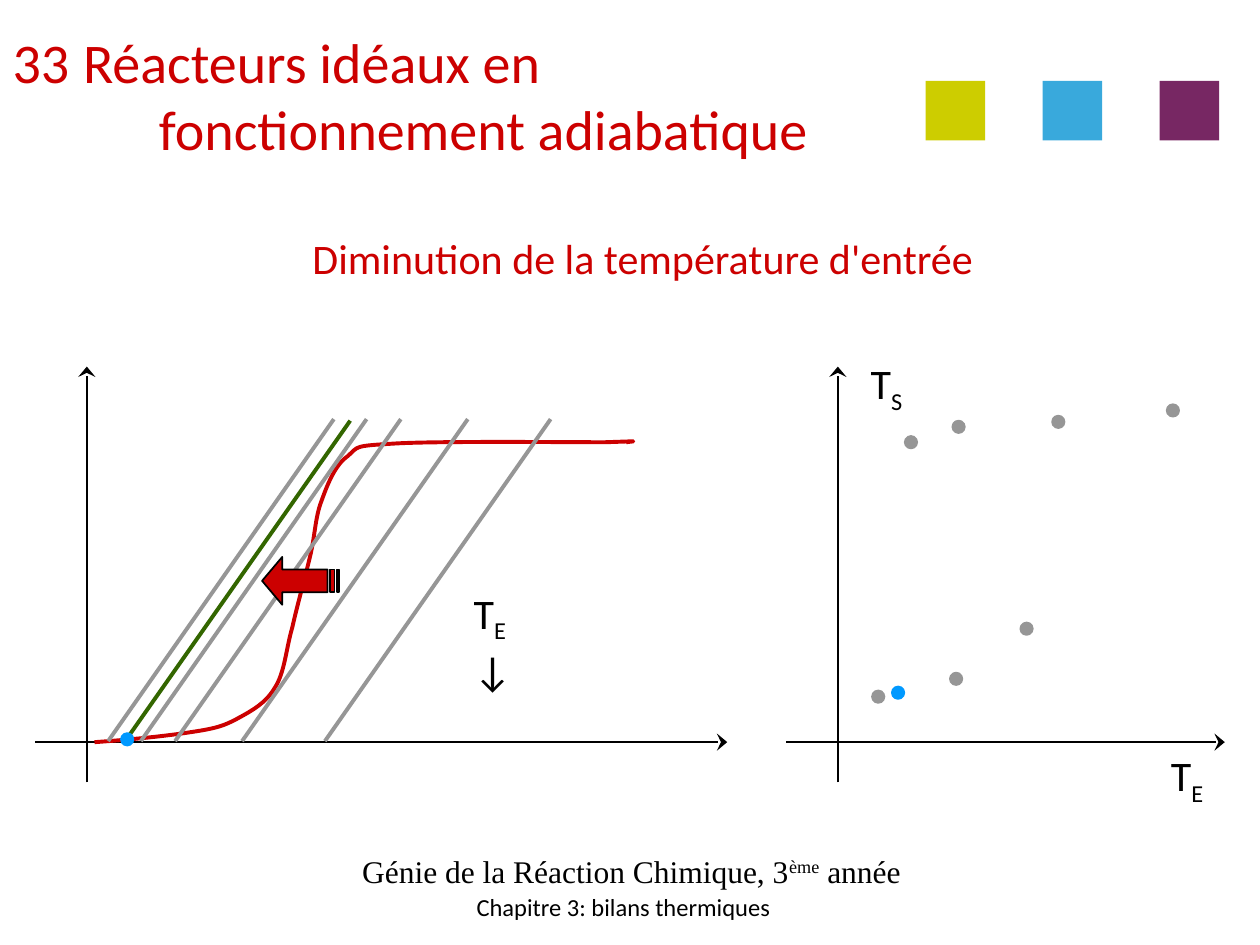
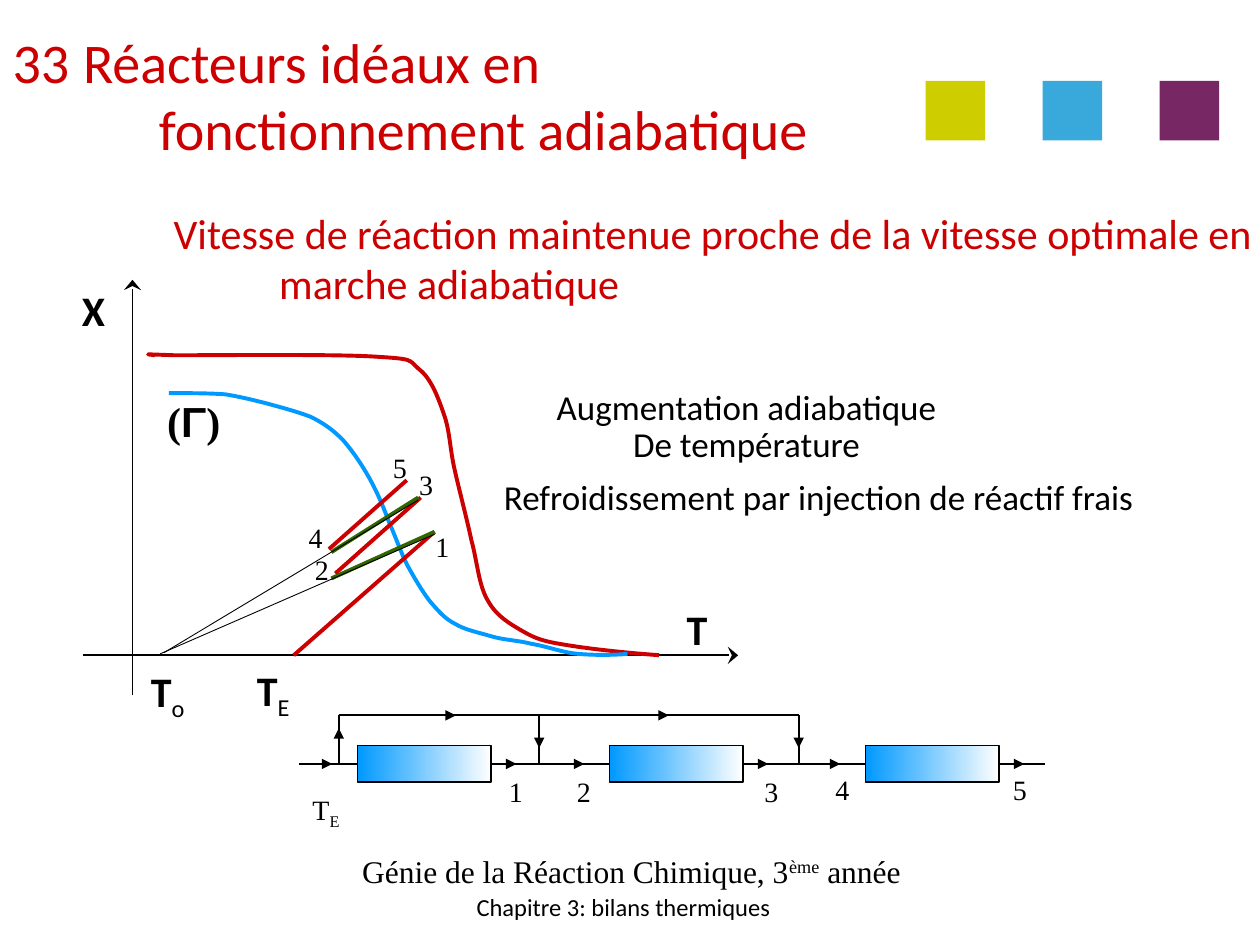
from lxml import etree
from pptx import Presentation
from pptx.dml.color import RGBColor
from pptx.enum.shapes import MSO_CONNECTOR, MSO_SHAPE
from pptx.enum.text import MSO_ANCHOR, MSO_AUTO_SIZE, PP_ALIGN
from pptx.oxml.ns import qn
from pptx.util import Cm, Pt

RECT, OVAL = MSO_SHAPE.RECTANGLE, MSO_SHAPE.OVAL
STRAIGHT = MSO_CONNECTOR.STRAIGHT
LEFT, MID = PP_ALIGN.LEFT, PP_ALIGN.CENTER
HEX = {"red": "CC0000", "black": "000000", "gray": "969696", "green": "336600",
       "blue": "0099FF", "white": "FFFFFF", "lime": "CDCD00", "sky": "39A9DC",
       "plum": "772763"}
INK = {name: RGBColor.from_string(code) for name, code in HEX.items()}
SANS, SERIF = "Calibri", "Times New Roman"
UNIT = Cm(2.54) / 1000  # freeform grid: a thousandth of an inch


def line(slide, x1, y1, x2, y2, ink="black", width=1, tip=None, broad="med"):
    """Straight line in cm, with an optional arrowhead at its end."""
    link = slide.shapes.add_connector(STRAIGHT, Cm(x1), Cm(y1), Cm(x2), Cm(y2))
    link.line.color.rgb = INK[ink]
    link.line.width = Pt(width)
    if tip:
        etree.SubElement(link.line._get_or_add_ln(), qn("a:tailEnd"), type=tip, w=broad)
    etree.SubElement(link._element.spPr, qn("a:effectLst"))


def text(slide, x, y, w, h, rows, size, font=SANS, ink="black", align=LEFT, space=1.0):
    """Text box in cm; each row is a list of (words, options) runs."""
    frame = slide.shapes.add_textbox(Cm(x), Cm(y), Cm(w), Cm(h)).text_frame
    frame.word_wrap = False
    for i, row in enumerate(rows):
        para = frame.add_paragraph() if i else frame.paragraphs[0]
        para.alignment, para.line_spacing = align, space
        for words, opts in row:
            run = para.add_run()
            run.text = words
            run.font.name = opts.get("font", font)
            run.font.size = Pt(size)
            run.font.bold = opts.get("bold", False)
            run.font.color.rgb = INK[ink]
            if "base" in opts:
                run._r.get_or_add_rPr().set("baseline", str(opts["base"] * 1000))
    return frame


BOLD, SUB, SUP = {"bold": True}, {"base": -25}, {"base": 30}

deck = Presentation()
deck.slide_width, deck.slide_height = Cm(25.4), Cm(19.05)
cool, stage = [deck.slides.add_slide(deck.slide_layouts[5]) for _ in range(2)]

# Shared title, squares and footer
for slide in (cool, stage):
    title = slide.shapes.title
    title.left, title.top, title.width, title.height = Cm(0), Cm(0.32), Cm(21.67), Cm(3.18)
    frame = title.text_frame
    frame.auto_size = MSO_AUTO_SIZE.NONE
    frame.vertical_anchor = MSO_ANCHOR.MIDDLE
    for i, (words, inset, hang) in enumerate([("Réacteurs idéaux en", 1.42, -1.42),
                                              ("fonctionnement adiabatique", 2.95, 0)]):
        para = frame.add_paragraph() if i else frame.paragraphs[0]
        para.alignment = LEFT
        props = para._p.get_or_add_pPr()
        props.set("marL", str(Cm(inset)))
        props.set("indent", str(Cm(hang)))
        if i == 0:
            etree.SubElement(props, qn("a:buFont"), typeface="+mj-lt")
            etree.SubElement(props, qn("a:buAutoNum"), type="arabicPlain", startAt="33")
        run = para.add_run()
        run.text = words
        run.font.name, run.font.size = SANS, Pt(32)
        run.font.color.rgb = INK["red"]

    for i, ink in enumerate(["lime", "sky", "plum"]):
        tile = slide.shapes.add_shape(RECT, Cm(18.66 + 2.36 * i), Cm(1.63), Cm(1.2), Cm(1.2))
        tile.shadow.inherit = False
        tile.fill.solid()
        tile.fill.fore_color.rgb = INK[ink]
        tile.line.fill.background()

    course = [[("Génie de la Réaction Chimique, 3", {}), ("ème", SUP), (" année", {})]]
    chapter = [[("Chapitre 3: bilans thermiques", {})]]
    for x, y, w, rows, size, font in [(6.93, 16.92, 11.6, course, 18, SERIF),
                                      (8.57, 17.65, 8, chapter, 14, SANS)]:
        foot = text(slide, x, y, w, 1.27, rows, size, font, align=MID)
        foot.vertical_anchor = MSO_ANCHOR.MIDDLE

# Axes: upright x, foot, top; level start, end, y
for slide, x, foot, top, start, end, y in [
        (cool, 1.75, 15.77, 7.39, 0.71, 14.66, 14.96),
        (cool, 16.89, 15.77, 7.39, 15.85, 24.69, 14.96),
        (stage, 2.67, 14.02, 5.64, 1.68, 14.88, 13.21)]:
    line(slide, x, foot, x, top, tip="stealth", broad="lg")
    line(slide, start, y, end, y, tip="stealth", broad="lg")

# Curves as chains of cubic arcs, in hundredths of an inch
rise = [(75, 589), (104, 587), (133, 584), (152, 581), (172, 578), (178, 576),
        (189, 570), (200, 564), (211, 558), (218, 546), (226, 534), (227, 515),
        (232, 498), (236, 480), (242, 459), (246, 442), (250, 426), (250, 411),
        (255, 398), (260, 384), (266, 369), (276, 362), (285, 354), (280, 354),
        (314, 352), (348, 350), (449, 351), (480, 351), (510, 350), (504, 350),
        (497, 351)]
fall = [(594.1 - 0.948 * x, y - 69) for x, y in rise]
gamma = [(134, 312), (150, 312), (166, 312), (179, 313), (191, 315), (199, 317),
         (211, 320), (222, 323), (237, 327), (247, 331), (257, 336), (264, 341),
         (272, 349), (280, 358), (288, 370), (294, 381), (300, 392), (305, 404),
         (309, 415), (314, 426), (318, 438), (323, 448), (329, 459), (335, 469),
         (341, 477), (348, 485), (353, 491), (361, 495), (369, 500), (380, 502),
         (390, 505), (400, 508), (410, 508), (422, 511), (434, 513), (447, 518),
         (459, 519), (472, 520), (485, 520), (498, 519)]
for slide, ink, knots in [(cool, "red", rise), (stage, "red", fall), (stage, "blue", gamma)]:
    dots = [(10 * x, 10 * y) for x, y in knots]
    pen = slide.shapes.build_freeform(*dots[0], scale=UNIT)
    pen.add_line_segments(dots[1:], close=False)
    curve = pen.convert_to_shape()
    # Every three segments become one arc
    legs = list(curve._element.iter(qn("a:lnTo")))
    for k in range(0, len(legs), 3):
        arc = etree.Element(qn("a:cubicBezTo"))
        legs[k].addprevious(arc)
        for leg in legs[k:k + 3]:
            arc.append(leg[0])
            leg.getparent().remove(leg)
    curve.shadow.inherit = False
    curve.fill.background()
    curve.line.color.rgb = INK[ink]
    curve.line.width = Pt(2.25)

# Slide 1: falling inlet temperature
text(cool, 6.05, 4.57, 13.97, 1.3, [[("Diminution de la température d'entrée", {})]], 24, ink="red")
for x in (2.18, 4.88, 6.55, 3.53, 2.84):
    line(cool, x, 14.94, x + 4.55, 8.45, "gray", 2.25)
text(cool, 17.27, 7.09, 1.2, 1.3, [[("T", {}), ("S", SUB)]], 24, align=MID)
text(cool, 23.32, 14.99, 1.22, 1.3, [[("T", {}), ("E", SUB)]], 24, align=MID)
text(cool, 9.3, 11.71, 1.93, 2.6, [[("T", {}), ("E", SUB)], [("↓", {})]], 24)

# Striped arrow
pen = cool.shapes.build_freeform(2240, 4420, scale=UNIT)
pen.add_line_segments([(2240, 4520), (2600, 4520), (2600, 4700), (2240, 4700),
                       (2240, 4800), (2080, 4610)])
for x1, x2 in [(2620, 2655), (2675, 2690)]:
    pen.move_to(x2, 4520)
    pen.add_line_segments([(x2, 4700), (x1, 4700), (x1, 4520)])
arrow = pen.convert_to_shape()
arrow.shadow.inherit = False
arrow.fill.solid()
arrow.fill.fore_color.rgb = INK["red"]
arrow.line.color.rgb = INK["black"]
arrow.line.width = Pt(1)

# Current line and working points
line(cool, 2.51, 14.96, 7.06, 8.48, "green", 2.25)
gray = [(19.15, 13.56), (17.58, 13.92), (21.21, 8.38), (20.57, 12.55),
        (23.52, 8.15), (19.2, 8.48), (18.24, 8.79)]
blue = [(2.44, 14.78), (17.98, 13.84)]
for ink, spots in [("gray", gray), ("blue", blue)]:
    for x, y in spots:
        dot = cool.shapes.add_shape(OVAL, Cm(x), Cm(y), Cm(0.25), Cm(0.25))
        dot.shadow.inherit = False
        dot.fill.solid()
        dot.fill.fore_color.rgb = dot.line.color.rgb = INK[ink]
        dot.line.width = Pt(1)

# Slide 2: headings and remarks
head = text(stage, 3.25, 4.06, 22.66, 2.31,
            [[("Vitesse de réaction maintenue proche de la vitesse optimale en", {})],
             [("marche adiabatique", {})]], 24, ink="red")
head.paragraphs[1]._p.get_or_add_pPr().set("marL", str(Cm(2.13)))
note = text(stage, 10.85, 7.44, 8.4, 2.08,
            [[("Augmentation adiabatique", {})], [("De température", {})]],
            20, align=MID, space=1.25)
note.paragraphs[1].line_spacing = 0.9
text(stage, 9.91, 9.25, 13.36, 1.24,
     [[("Refroidissement par injection de réactif frais", {})]], 20, space=1.25)

# Zigzag of heating and cooling steps
for ink, width, ends in [
        ("red", 2.25, [(5.92, 13.21, 8.76, 10.72), (6.76, 11.56, 8.48, 10.03),
                       (6.63, 11.07, 8.2, 9.68)]),
        ("green", 2.25, [(8.76, 10.72, 6.68, 11.66), (8.43, 10.03, 6.68, 11.13)]),
        ("black", 0.5, [(8.76, 10.77, 3.23, 13.18), (8.43, 10.08, 3.3, 13.16)])]:
    for end in ends:
        line(stage, *end, ink, width)

# Axis and curve names
for x, y, w, row in [
        (1.4, 5.36, 1, [("X", BOLD)]),
        (13.59, 11.79, 0.94, [("T", BOLD)]),
        (4.93, 12.98, 1.22, [("T", BOLD), ("E", SUB)]),
        (2.79, 13, 1.24, [("T", BOLD), ("o", SUB)]),
        (3.12, 7.59, 2, [("(", {"bold": True, "font": SERIF}),
                         ("Γ", {"bold": True, "font": "Arial"}),
                         (")", {"bold": True, "font": SERIF})])]:
    text(stage, x, y, w, 1.45, [row], 24, space=1.25)

# Step numbers on the graph, then along the reactors
for word, x, y in [("1", 8.53, 10.39), ("2", 6.1, 10.85), ("3", 8.2, 9.14),
                   ("4", 5.97, 10.21), ("5", 7.67, 8.79),
                   ("1", 10.01, 15.32), ("2", 11.38, 15.32), ("3", 15.16, 15.32),
                   ("4", 16.59, 15.29), ("5", 20.17, 15.29)]:
    text(stage, x, y, 0.79, 1.12, [[(word, {})]], 16, SERIF, space=1.25)
text(stage, 6.05, 15.67, 1.09, 1.12, [[("T", {}), ("E", SUB)]], 16, SERIF, space=1.25)

# Three reactors in series, each on its own stretch of pipe
FLOW, WIDE, TALL = 15.4, 2.69, 0.74
for x, start, end in [(7.21, 6.02, 11.18), (12.29, 11.1, 16.33), (17.45, 16.26, 21.06)]:
    line(stage, start, FLOW, end, FLOW)
    tank = stage.shapes.add_shape(RECT, Cm(x), Cm(FLOW - TALL / 2), Cm(WIDE), Cm(TALL))
    tank.shadow.inherit = False
    tank.fill.gradient()
    tank.fill.gradient_angle = 0
    for stop, ink, spot in zip(tank.fill.gradient_stops, ("blue", "white"), (0, 1)):
        stop.color.rgb, stop.position = INK[ink], spot
    tank.line.color.rgb = INK["black"]
    tank.line.width = Pt(1)
    for tail in (x - 0.94, x + WIDE + 0.08):
        line(stage, tail, FLOW, tail + 0.43, FLOW, tip="triangle")

# Fresh feed bypass
PASS = 14.42
line(stage, 6.83, PASS, 16.1, PASS)
for x in (8.76, 13.05):
    line(stage, x, PASS, x + 0.43, PASS, tip="triangle")
for x, y1, y2 in [(6.83, 15.11, 14.68), (10.87, 14.66, 15.08), (16.1, 14.66, 15.08)]:
    line(stage, x, FLOW, x, PASS)
    line(stage, x, y1, x, y2, tip="triangle")

deck.save("out.pptx")
